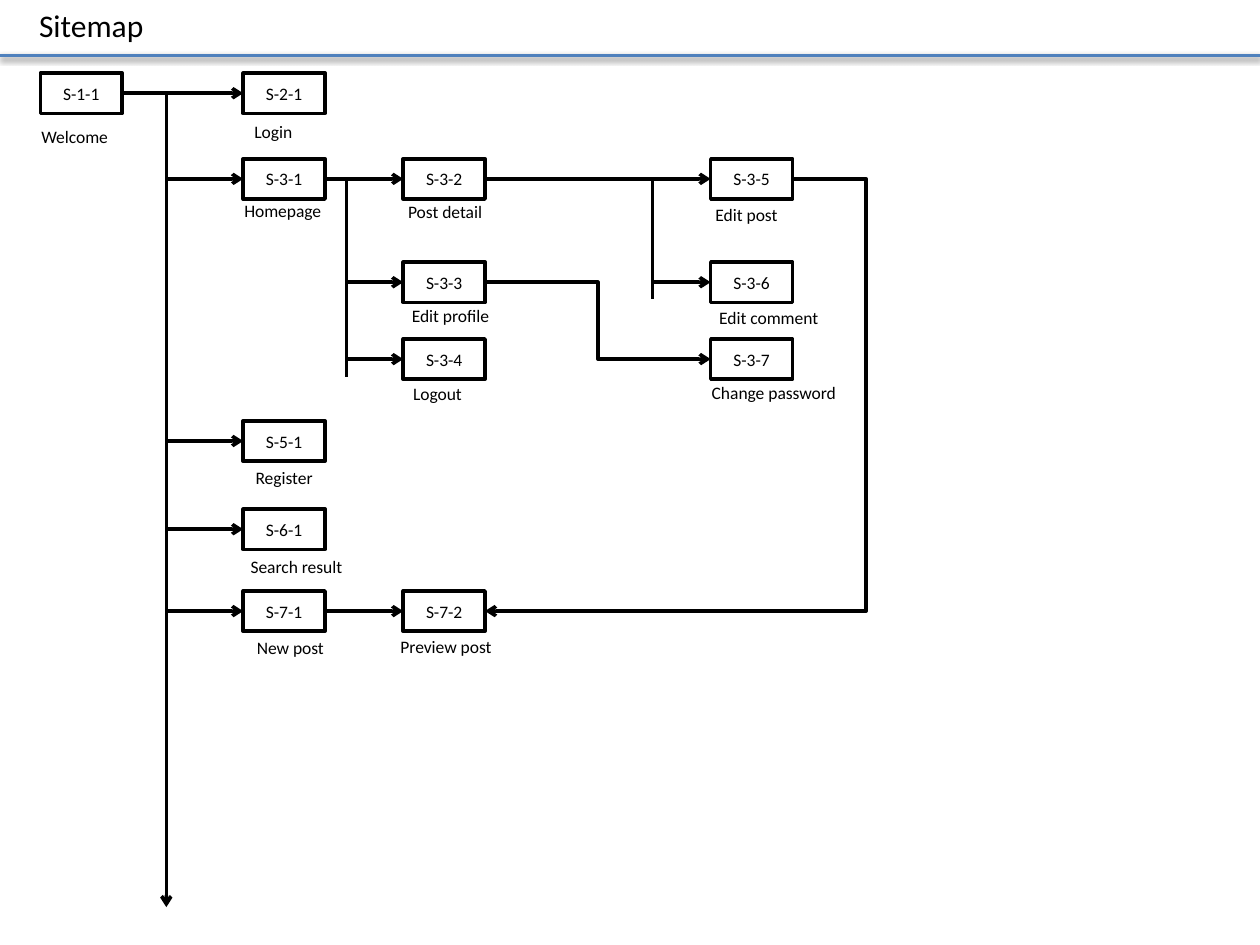
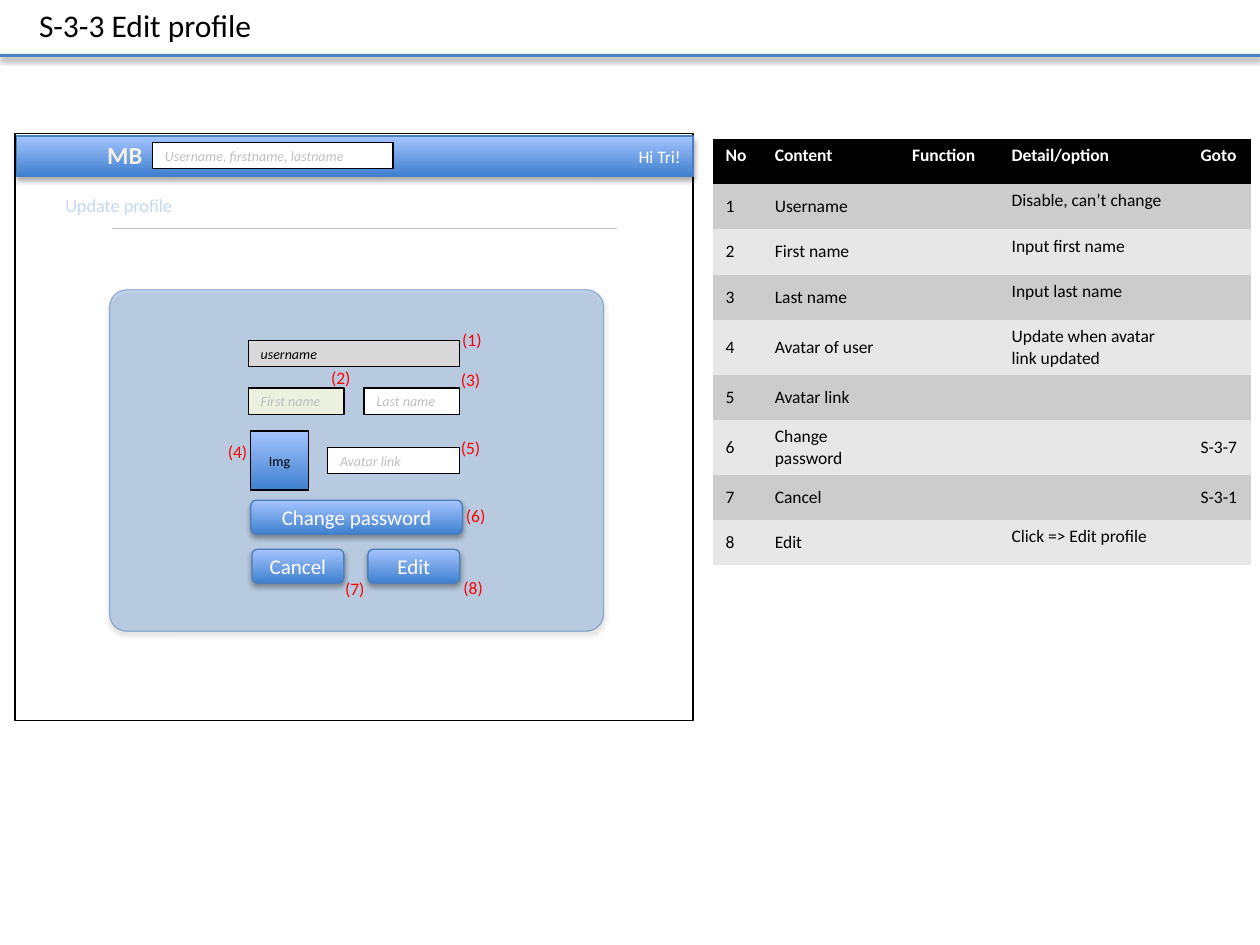
from dataclasses import dataclass
from lxml.etree import SubElement
from pptx import Presentation
from pptx.dml.color import RGBColor
from pptx.enum.shapes import MSO_CONNECTOR, MSO_SHAPE
from pptx.enum.text import MSO_ANCHOR, MSO_AUTO_SIZE, PP_ALIGN
from pptx.oxml.ns import qn
from pptx.util import Inches, Pt


@dataclass(frozen=True)
class Theme:
    font: str = "Calibri"
    ink: str = "000000"
    paper: str = "FFFFFF"
    rule: str = "4F81BD"
    edge: str = "4B7EBC"
    deep: str = "3F80CE"
    light: str = "A4C4FF"
    panel: str = "558ED5"
    pale: str = "C6D9F1"
    cream: str = "F4F1E3"
    navy: str = "054697"
    hint: str = "BFBFBF"
    locked: str = "D9D9D9"
    green: str = "EBF1DE"
    marker: str = "FF0000"
    bands: tuple = ("CCCCCC", "E7E7E7")
    title: float = 18
    logo: float = 14
    button: float = 12
    heading: float = 10.5
    body: float = 10
    small: float = 8
    thick: float = 2
    thin: float = 0.75
    hair: float = 0.25


theme = Theme()
LEFT, CENTER, RIGHT = PP_ALIGN.LEFT, PP_ALIGN.CENTER, PP_ALIGN.RIGHT
SLIDE_W, SLIDE_H = 10, 7.5

COLUMNS = (0.32, 1.93, 3.2, 5.64)
ROWS = (0.58, 1.26, 2.08, 2.69, 3.34, 4.04, 4.69)
NODE_W, NODE_H = 0.65, 0.32
LABEL_H = 0.27
TRUNK_X, MENU_X, POST_X = 1.32, 2.75, 5.18

# code, column, row, label, label offset x, label offset y, label width
NODES = [
    ("S-1-1", 0, 0, "Welcome", -0.09, 0.37, 0.74),
    ("S-2-1", 1, 0, "Login", -0.01, 0.33, 0.51),
    ("S-3-1", 1, 1, "Homepage", -0.09, 0.28, 0.82),
    ("S-3-2", 2, 1, "Post detail", -0.06, 0.29, 0.82),
    ("S-3-3", 2, 2, "Edit profile", -0.03, 0.29, 0.83),
    ("S-3-4", 2, 3, "Logout", -0.02, 0.3, 0.6),
    ("S-3-5", 3, 1, "Edit post", -0.06, 0.31, 0.7),
    ("S-3-6", 3, 2, "Edit comment", -0.03, 0.31, 1),
    ("S-3-7", 3, 3, "Change password", -0.09, 0.29, 1.21),
    ("S-5-1", 1, 4, "Register", 0, 0.32, 0.68),
    ("S-6-1", 1, 5, "Search result", -0.04, 0.32, 0.95),
    ("S-7-1", 1, 6, "New post", 0.01, 0.32, 0.74),
    ("S-7-2", 2, 6, "Preview post", -0.12, 0.31, 0.94),
]

FIELDS = [
    ("Username, firstname, lastname", 1.21, 1.13, 1.91, theme.paper, theme.hint),
    ("username", 1.97, 2.7, 1.68, theme.locked, theme.ink),
    ("First name", 1.97, 3.08, 0.76, theme.green, theme.hint),
    ("Last name", 2.89, 3.08, 0.76, theme.paper, theme.hint),
    ("Avatar link", 2.6, 3.55, 1.05, theme.paper, theme.hint),
]
BUTTONS = [
    ("Change password", 1.99, 3.97, 1.68),
    ("Cancel", 2, 4.36, 0.73),
    ("Edit", 2.92, 4.36, 0.73),
]
MARKERS = [
    (3.57, 2.56), (2.53, 2.86), (3.56, 2.88), (1.71, 3.45),
    (3.56, 3.42), (3.6, 3.96), (2.64, 4.54), (3.58, 4.53),
]

TABLE_AT = (5.66, 1.1)
TABLE_COLUMNS = (0.39, 1.09, 0.79, 1.5, 0.5)
TABLE_ROW = 0.36
DETAIL_COLUMN = 3
TABLE = [
    ("No", "Content", "Function", "Detail/option", "Goto"),
    ("1", "Username", "", "Disable, can’t change", ""),
    ("2", "First name", "", "Input first name", ""),
    ("3", "Last name", "", "Input last name", ""),
    ("4", "Avatar of user", "", "Update when avatar link updated", ""),
    ("5", "Avatar link", "", "", ""),
    ("6", "Change password", "", "", "S-3-7"),
    ("7", "Cancel", "", "", "S-3-1"),
    ("8", "Edit", "", "Click => Edit profile", ""),
]


def inches(*lengths):
    return [Inches(length) for length in lengths]


def rgb(color):
    return RGBColor.from_string(color)


def write(frame, text, size, color=theme.ink, align=LEFT, bold=False, italic=False):
    para = frame.paragraphs[0]
    para.alignment = align
    span = para.add_run()
    span.text = text
    span.font.name = theme.font
    span.font.size = Pt(size)
    span.font.bold = bold
    span.font.italic = italic
    span.font.color.rgb = rgb(color)
    return span


def fit_to_text(frame):
    frame.word_wrap = False
    frame.auto_size = MSO_AUTO_SIZE.SHAPE_TO_FIT_TEXT
    frame.vertical_anchor = MSO_ANCHOR.TOP


def add_text(page, text, at, size=theme.body, color=theme.ink, **style):
    frame = page.shapes.add_textbox(*inches(*at)).text_frame
    fit_to_text(frame)
    return write(frame, text, size, color, **style)


def cast_shadow(effects, opacity, distance):
    shadow = SubElement(effects, qn("a:outerShdw"), blurRad="40000",
                        dist=str(distance), dir="5400000", rotWithShape="0")
    color = SubElement(shadow, qn("a:srgbClr"), val=theme.ink)
    SubElement(color, qn("a:alpha"), val=str(opacity * 1000))


def set_opacity(properties, percent):
    color = next(properties.iter(qn("a:srgbClr")))
    SubElement(color, qn("a:alpha"), val=str(percent * 1000))


def add_box(page, at, fill=None, line=theme.ink, width=theme.thin,
            kind=MSO_SHAPE.RECTANGLE, shadow=False):
    box = page.shapes.add_shape(kind, *inches(*at))
    if fill:
        box.fill.solid()
        box.fill.fore_color.rgb = rgb(fill)
    else:
        box.fill.gradient()
        box.fill.gradient_angle = 90
        for stop, color in zip(box.fill.gradient_stops, (theme.deep, theme.light)):
            stop.color.rgb = rgb(color)
    box.line.color.rgb = rgb(line)
    box.line.width = Pt(width)
    box.shadow.inherit = False
    if shadow:
        cast_shadow(box.element.spPr.find(qn("a:effectLst")), 35, 23000)
    box.text_frame.word_wrap = True
    box.text_frame.vertical_anchor = MSO_ANCHOR.MIDDLE
    return box


def add_line(page, start, end, color=theme.ink, width=theme.thick, arrow=False,
             kind=MSO_CONNECTOR.STRAIGHT):
    line = page.shapes.add_connector(kind, *inches(*start, *end))
    line.line.color.rgb = rgb(color)
    line.line.width = Pt(width)
    properties = line.element.spPr
    if arrow:
        SubElement(properties.find(qn("a:ln")), qn("a:tailEnd"), type="arrow")
    SubElement(properties, qn("a:effectLst"))
    return line


def add_elbow(page, start, end, preset="bentConnector3", bend=None):
    line = add_line(page, start, end, arrow=True, kind=MSO_CONNECTOR.ELBOW)
    geometry = line.element.spPr.find(qn("a:prstGeom"))
    geometry.set("prst", preset)
    if bend is not None:
        guides = geometry.find(qn("a:avLst"))
        if guides is None:
            guides = SubElement(geometry, qn("a:avLst"))
        SubElement(guides, qn("a:gd"), name="adj1", fmla=f"val {round(bend * 100000)}")


def add_page(deck, title, title_width):
    page = deck.slides.add_slide(deck.slide_layouts[5])
    rule = add_line(page, (0, 0.44), (SLIDE_W, 0.44), theme.rule)
    cast_shadow(rule.element.spPr.find(qn("a:effectLst")), 38, 20000)
    box = page.shapes.title
    box.left, box.top, box.width, box.height = inches(0.21, 0, title_width, 0.4)
    fit_to_text(box.text_frame)
    write(box.text_frame, title, theme.title)
    return page


def middle(row):
    return ROWS[row] + NODE_H / 2


def right_edge(column):
    return COLUMNS[column] + NODE_W


def draw_sitemap(page):
    for code, column, row, label, shift_x, shift_y, label_width in NODES:
        left, top = COLUMNS[column], ROWS[row]
        box = add_box(page, (left, top, NODE_W, NODE_H), theme.paper, width=theme.thick)
        write(box.text_frame, code, theme.body, align=CENTER)
        add_text(page, label, (left + shift_x, top + shift_y, label_width, LABEL_H))

    arrows = [(TRUNK_X, 1, row) for row in (0, 1, 4, 5, 6)]
    arrows += [(right_edge(1), 2, 1), (right_edge(1), 2, 6), (right_edge(2), 3, 1)]
    arrows += [(MENU_X, 2, 2), (MENU_X, 2, 3), (POST_X, 3, 2)]
    for start_x, column, row in arrows:
        add_line(page, (start_x, middle(row)), (COLUMNS[column], middle(row)), arrow=True)
    for branch_x, bottom in ((MENU_X, 2.99), (POST_X, 2.37)):
        add_line(page, (branch_x, middle(1)), (branch_x, bottom))

    add_elbow(page, (right_edge(0), middle(0)), (TRUNK_X, 0.96 * SLIDE_H), "bentConnector2")
    add_elbow(page, (right_edge(2), middle(2)), (COLUMNS[3], middle(3)), bend=0.5)
    add_elbow(page, (right_edge(3), middle(1)), (right_edge(2), middle(6)), bend=-0.24)


def draw_form(page):
    add_box(page, (0.12, 1.06, 5.38, 4.66), theme.paper)
    banner = add_box(page, (0.13, 1.08, 5.37, 0.32), line=theme.edge, shadow=True)
    write(banner.text_frame, "Hi Tri!", theme.body, theme.paper, RIGHT)
    logo = add_text(page, "MB", (0.75, 1.06, 0.48, 0.34), theme.logo, theme.cream,
                    align=CENTER, bold=True)
    logo_font = logo.font._element if hasattr(logo.font, "_element") else logo._r.rPr
    outline = SubElement(logo_font, qn("a:ln"), w="12700")
    SubElement(SubElement(outline, qn("a:solidFill")), qn("a:srgbClr"), val=theme.navy)
    logo_font.insert(0, outline)
    add_line(page, (0.89, 1.81), (4.9, 1.81), theme.hint, theme.hair)
    add_text(page, "Update profile", (0.42, 1.49, 1.07, 0.28), theme.heading, theme.pale)

    panel = add_box(page, (0.87, 2.3, 3.92, 2.71), theme.panel, theme.edge,
                    kind=MSO_SHAPE.ROUNDED_RECTANGLE, shadow=True)
    panel.adjustments[0] = 0.05
    set_opacity(panel.element.spPr.find(qn("a:solidFill")), 30)
    set_opacity(panel.element.spPr.find(qn("a:ln")), 50)

    for text, left, top, width, fill, color in FIELDS:
        field = add_box(page, (left, top, width, 0.21), fill)
        write(field.text_frame, text, theme.small, color, italic=True)
    for text, left, top, width in BUTTONS:
        button = add_box(page, (left, top, width, 0.27), line=theme.edge,
                         kind=MSO_SHAPE.ROUNDED_RECTANGLE, shadow=True)
        write(button.text_frame, text, theme.button, theme.paper, CENTER)
    avatar = add_box(page, (1.99, 3.42, 0.46, 0.47))
    write(avatar.text_frame, "Img", theme.small, align=CENTER)
    for number, (left, top) in enumerate(MARKERS, 1):
        add_text(page, f"({number})", (left, top, 0.36, LABEL_H), color=theme.marker)


def draw_table(page):
    size = (sum(TABLE_COLUMNS), TABLE_ROW * len(TABLE))
    frame = page.shapes.add_table(len(TABLE), len(TABLE_COLUMNS), *inches(*TABLE_AT, *size))
    table = frame.table
    table.horz_banding = False
    style = next(frame.element.iter(qn("a:tableStyleId")))
    style.text = "{2D5ABB26-0587-4C30-8999-92F81FD0307C}"
    for column, width in zip(table.columns, TABLE_COLUMNS):
        column.width = Inches(width)
    for row, texts in enumerate(TABLE):
        header = row == 0
        for column, text in enumerate(texts):
            cell = table.cell(row, column)
            cell.fill.solid()
            cell.fill.fore_color.rgb = rgb(theme.ink if header else theme.bands[(row - 1) % 2])
            top = header or column == DETAIL_COLUMN
            cell.vertical_anchor = MSO_ANCHOR.TOP if top else MSO_ANCHOR.MIDDLE
            if text:
                write(cell.text_frame, text, theme.body,
                      theme.paper if header else theme.ink, bold=header)
            else:
                SubElement(cell.text_frame.paragraphs[0]._p, qn("a:endParaRPr"),
                           sz=str(theme.body * 100))


deck = Presentation()
deck.slide_width, deck.slide_height = inches(SLIDE_W, SLIDE_H)
draw_sitemap(add_page(deck, "Sitemap", 1.04))
profile = add_page(deck, "S-3-3 Edit profile", 1.91)
draw_form(profile)
draw_table(profile)
deck.save("out.pptx")
